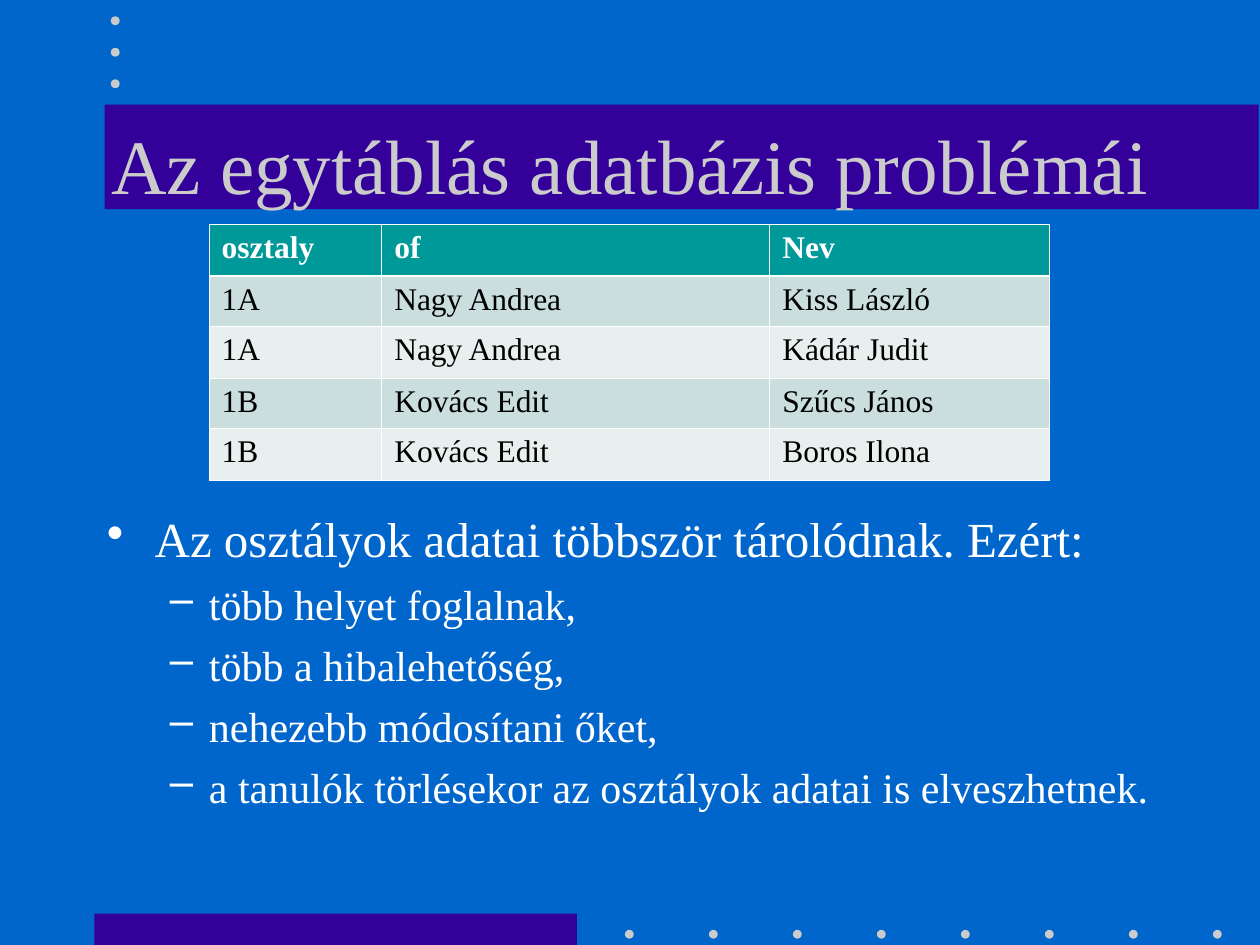
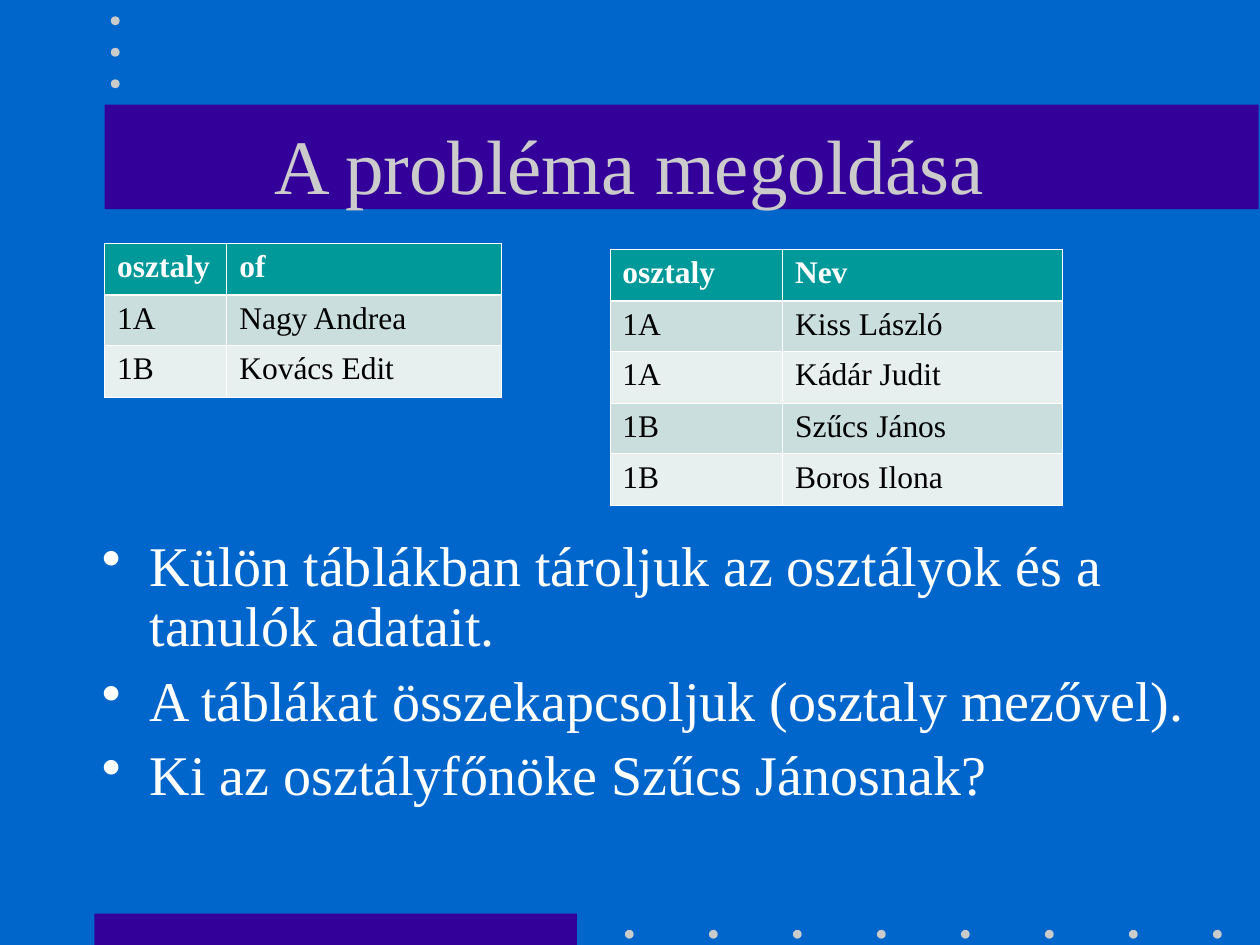
from dataclasses import dataclass

from lxml import etree
from pptx import Presentation
from pptx.dml.color import RGBColor
from pptx.enum.shapes import MSO_SHAPE
from pptx.enum.text import MSO_ANCHOR, PP_ALIGN
from pptx.oxml.ns import qn
from pptx.util import Inches, Pt

RECT = MSO_SHAPE.RECTANGLE
OVAL = MSO_SHAPE.OVAL
MIDDLE = MSO_ANCHOR.MIDDLE
LEFT, CENTER = PP_ALIGN.LEFT, PP_ALIGN.CENTER

FONT = "Times New Roman"
BLUE, VIOLET, GREY = "0066CC", "330099", "CBCBCB"
WHITE, BLACK = "FFFFFF", "000000"
HEADER, BAND_DARK, BAND_LIGHT = "009999", "CBDEDE", "E7EFEF"
THIN, THICK = 0.45, 1.47
ROW_HEIGHTS = (0.41, 0.4)
DOT = 0.07


@dataclass(frozen=True)
class Box:
    left: float
    top: float
    width: float
    height: float

    def lengths(self) -> list:
        return [Inches(v) for v in (self.left, self.top, self.width, self.height)]


@dataclass(frozen=True)
class BulletStyle:
    char: str
    margin: float
    indent: float
    level: int
    size: int
    space_before: int
    line_spacing: float = 1.0


@dataclass(frozen=True)
class Bullet:
    text: str
    style: BulletStyle


@dataclass(frozen=True)
class Table:
    left: float
    top: float
    widths: tuple
    rows: tuple


@dataclass(frozen=True)
class Page:
    title: str
    body: Box
    bullets: tuple
    tables: tuple


BANDS = (Box(0.75, 7.25, 3.83, 0.25), Box(0.83, 0.83, 9.16, 0.83))
DOTS = (
    *(Box(4.96 + i * 2 / 3, 7.38, DOT, DOT) for i in range(8)),
    *(Box(0.88, 0.13 + i * 0.25, DOT, DOT) for i in range(3)),
)
TITLE = Box(0.75, 0.67, 8.5, 1.25)

PROBLEM = BulletStyle("•", 0.38, -0.38, 0, 28, 7)
REASON = BulletStyle("–", 0.81, -0.31, 1, 24, 6)
SOLUTION = BulletStyle("•", 0.38, -0.38, 0, 32, 8, 0.9)

TEACHERS = {"1A": "Nagy Andrea", "1B": "Kovács Edit"}
PUPILS = (
    ("1A", "Kiss László"),
    ("1A", "Kádár Judit"),
    ("1B", "Szűcs János"),
    ("1B", "Boros Ilona"),
)
JOINED = tuple((group, TEACHERS[group], name) for group, name in PUPILS)

PAGES = (
    Page(
        "Az egytáblás adatbázis problémái",
        Box(0.75, 3.99, 8.5, 3.15),
        (
            Bullet("Az osztályok adatai többször tárolódnak. Ezért:", PROBLEM),
            Bullet("több helyet foglalnak,", REASON),
            Bullet("több a hibalehetőség,", REASON),
            Bullet("nehezebb módosítani őket,", REASON),
            Bullet("a tanulók törlésekor az osztályok adatai is elveszhetnek.", REASON),
        ),
        (Table(1.66, 1.78, (1.37, 3.08, 2.22), (("osztaly", "of", "Nev"), *JOINED)),),
    ),
    Page(
        "A probléma megoldása",
        Box(0.71, 4.22, 8.9, 2.84),
        (
            Bullet("Külön táblákban tároljuk az osztályok és a tanulók adatait.", SOLUTION),
            Bullet("A táblákat összekapcsoljuk (osztaly mezővel).", SOLUTION),
            Bullet("Ki az osztályfőnöke Szűcs Jánosnak?", SOLUTION),
        ),
        (
            Table(4.84, 1.98, (1.37, 2.22), (("osztaly", "Nev"), *PUPILS)),
            Table(0.83, 1.93, (0.97, 2.18), (("osztaly", "of"), *TEACHERS.items())),
        ),
    ),
)


def rgb(color: str) -> RGBColor:
    return RGBColor.from_string(color)


def set_text(p, text: str, size: float, color: str, bold: bool = False, align=LEFT) -> None:
    p.text = text
    p.alignment = align
    for r in p.runs:
        r.font.name = FONT
        r.font.size = Pt(size)
        r.font.bold = bold
        r.font.color.rgb = rgb(color)


def add_solid(parent, color: str) -> None:
    fill = etree.SubElement(parent, qn("a:solidFill"))
    etree.SubElement(fill, qn("a:srgbClr"), val=color)


def add_decor(slide, kind, box: Box, color: str) -> None:
    sp = slide.shapes.add_shape(kind, *box.lengths())
    sp.shadow.inherit = False
    sp.fill.solid()
    sp.fill.fore_color.rgb = rgb(color)
    sp.line.fill.background()


def add_text_frame(slide, box: Box):
    tf = slide.shapes.add_textbox(*box.lengths()).text_frame
    tf.word_wrap = True
    return tf


def add_title(slide, text: str) -> None:
    tf = add_text_frame(slide, TITLE)
    tf.vertical_anchor = MIDDLE
    set_text(tf.paragraphs[0], text, 44, GREY, align=CENTER)


def add_bullets(slide, box: Box, bullets: tuple) -> None:
    tf = add_text_frame(slide, box)
    for i, bullet in enumerate(bullets):
        style = bullet.style
        p = tf.add_paragraph() if i else tf.paragraphs[0]
        set_text(p, bullet.text, style.size, WHITE)
        p.level = style.level
        p.line_spacing = style.line_spacing
        p.space_before = Pt(style.space_before)
        pPr = p._p.get_or_add_pPr()
        pPr.set("marL", str(Inches(style.margin)))
        pPr.set("indent", str(Inches(style.indent)))
        color = etree.SubElement(pPr, qn("a:buClr"))
        etree.SubElement(color, qn("a:srgbClr"), val=WHITE)
        etree.SubElement(pPr, qn("a:buChar"), char=style.char)


def set_borders(cell, top: float, bottom: float) -> None:
    tcPr = cell._tc.get_or_add_tcPr()
    for side, width in (("L", THIN), ("R", THIN), ("T", top), ("B", bottom)):
        ln = etree.SubElement(tcPr, qn(f"a:ln{side}"), w=str(Pt(width)))
        add_solid(ln, WHITE)


def add_data_table(slide, spec: Table) -> None:
    heights = [ROW_HEIGHTS[i % 2] for i in range(len(spec.rows))]
    box = Box(spec.left, spec.top, sum(spec.widths), sum(heights))
    frame = slide.shapes.add_table(len(spec.rows), len(spec.widths), *box.lengths())
    table = frame.table
    for column, width in zip(table.columns, spec.widths):
        column.width = Inches(width)
    for i, values in enumerate(spec.rows):
        table.rows[i].height = Inches(heights[i])
        is_header = i == 0
        fill = HEADER if is_header else BAND_DARK if i % 2 else BAND_LIGHT
        for j, value in enumerate(values):
            cell = table.cell(i, j)
            color = WHITE if is_header else BLACK
            set_text(cell.text_frame.paragraphs[0], value, 18, color, is_header)
            set_borders(cell, THICK if i == 1 else THIN, THICK if is_header else THIN)
            cell.fill.solid()
            cell.fill.fore_color.rgb = rgb(fill)


def add_page(prs, page: Page) -> None:
    slide = prs.slides.add_slide(prs.slide_layouts[6])
    slide.background.fill.solid()
    slide.background.fill.fore_color.rgb = rgb(BLUE)
    for band in BANDS:
        add_decor(slide, RECT, band, VIOLET)
    for dot in DOTS:
        add_decor(slide, OVAL, dot, GREY)
    add_title(slide, page.title)
    add_bullets(slide, page.body, page.bullets)
    for table in page.tables:
        add_data_table(slide, table)


def main() -> None:
    prs = Presentation()
    prs.slide_width = Inches(10)
    prs.slide_height = Inches(7.5)
    for page in PAGES:
        add_page(prs, page)
    prs.save("out.pptx")


if __name__ == "__main__":
    main()
